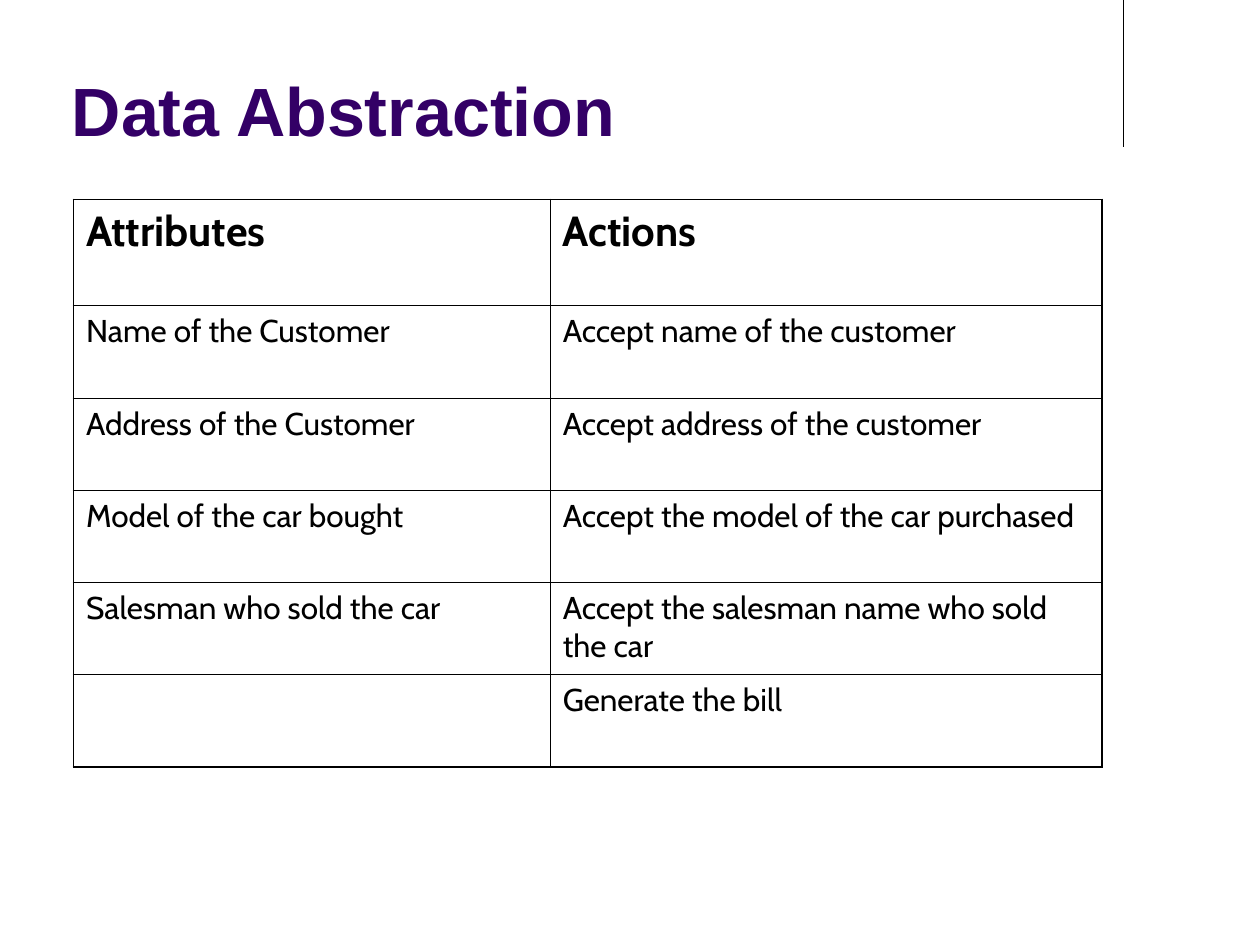
from typing import NamedTuple

from lxml.etree import SubElement
from pptx import Presentation
from pptx.dml.color import RGBColor
from pptx.enum.shapes import MSO_CONNECTOR
from pptx.enum.text import MSO_VERTICAL_ANCHOR as Anchor
from pptx.oxml.ns import qn
from pptx.util import Pt

BLACK = RGBColor(0x00, 0x00, 0x00)
PURPLE = RGBColor(0x33, 0x00, 0x66)
OUTER, INNER = 1.08, 0.45

TITLE_FONT = {"name": "Arial", "size": Pt(39), "bold": True}
HEADER_FONT = {"name": "Cabin", "size": Pt(24), "bold": True}
BODY_FONT = {"name": "Cabin", "size": Pt(18), "bold": False}


class Row(NamedTuple):
    attribute: str
    action: str
    height: float = 52.6


ROWS = [
    Row("Attributes", "Actions", 60.5),
    Row("Name of the Customer", "Accept name of the customer", 53.3),
    Row("Address of the Customer", "Accept address of the customer"),
    Row("Model of the car bought", "Accept the model of the car purchased"),
    Row("Salesman who sold the car", "Accept the salesman name who sold the car"),
    Row("", "Generate the bill"),
]
COLUMN_WIDTHS = [272.4, 315.4]


def set_attributes(target, values: dict) -> None:
    for name, value in values.items():
        setattr(target, name, value)


def write(frame, text: str, font: dict, color: RGBColor) -> None:
    para = frame.paragraphs[0]
    set_attributes(para.font, font)
    para.font.color.rgb = color
    if text:
        span = para.add_run()
        span.text = text
        set_attributes(span.font, font)
        span.font.color.rgb = color


def add_title(page) -> None:
    box = page.shapes.add_textbox(Pt(36), Pt(9.4), Pt(594), Pt(102.2))
    set_attributes(box.text_frame, {
        "word_wrap": True, "vertical_anchor": Anchor.MIDDLE,
        "margin_left": Pt(5), "margin_right": Pt(5),
        "margin_top": Pt(4), "margin_bottom": Pt(0),
    })
    write(box.text_frame, "Data Abstraction", TITLE_FONT, PURPLE)


def add_corner_line(page) -> None:
    line = page.shapes.add_connector(
        MSO_CONNECTOR.STRAIGHT, Pt(642), Pt(0), Pt(642), Pt(84))
    line.line.color.rgb = BLACK
    line.line.width = Pt(0.75)
    SubElement(line._element.spPr, qn("a:effectLst"))


def add_borders(cell, widths: dict[str, float]) -> None:
    """Add solid cell borders; the keys must run L, R, T, B."""
    properties = cell._tc.get_or_add_tcPr()
    for side, width in widths.items():
        border = SubElement(properties, qn(f"a:ln{side}"), w=str(Pt(width)))
        fill = SubElement(border, qn("a:solidFill"))
        SubElement(fill, qn("a:srgbClr"), val=str(BLACK))


def add_attribute_table(page) -> None:
    last_row, last_column = len(ROWS) - 1, len(COLUMN_WIDTHS) - 1
    table = page.shapes.add_table(
        len(ROWS), len(COLUMN_WIDTHS), Pt(42), Pt(114),
        Pt(sum(COLUMN_WIDTHS)), Pt(sum(row.height for row in ROWS))).table
    set_attributes(table, {"first_row": False, "horz_banding": False})
    for column, width in zip(table.columns, COLUMN_WIDTHS):
        column.width = Pt(width)
    for r, row in enumerate(ROWS):
        table.rows[r].height = Pt(row.height)
        for c, text in enumerate((row.attribute, row.action)):
            cell = table.cell(r, c)
            set_attributes(cell, {
                "margin_left": Pt(7.2), "margin_right": Pt(7.2),
                "margin_top": Pt(3.6), "margin_bottom": Pt(3.6),
                "vertical_anchor": Anchor.TOP,
            })
            at_edge = {"L": c == 0, "R": c == last_column,
                       "T": r == 0, "B": r == last_row}
            add_borders(cell, {side: OUTER if edge else INNER
                               for side, edge in at_edge.items()})
            cell.fill.background()
            write(cell.text_frame, text, BODY_FONT if r else HEADER_FONT, BLACK)


def main() -> None:
    deck = Presentation()
    set_attributes(deck, {"slide_width": Pt(720), "slide_height": Pt(540)})
    page = deck.slides.add_slide(deck.slide_layouts[6])
    add_corner_line(page)
    add_title(page)
    add_attribute_table(page)
    deck.save("out.pptx")


if __name__ == "__main__":
    main()
